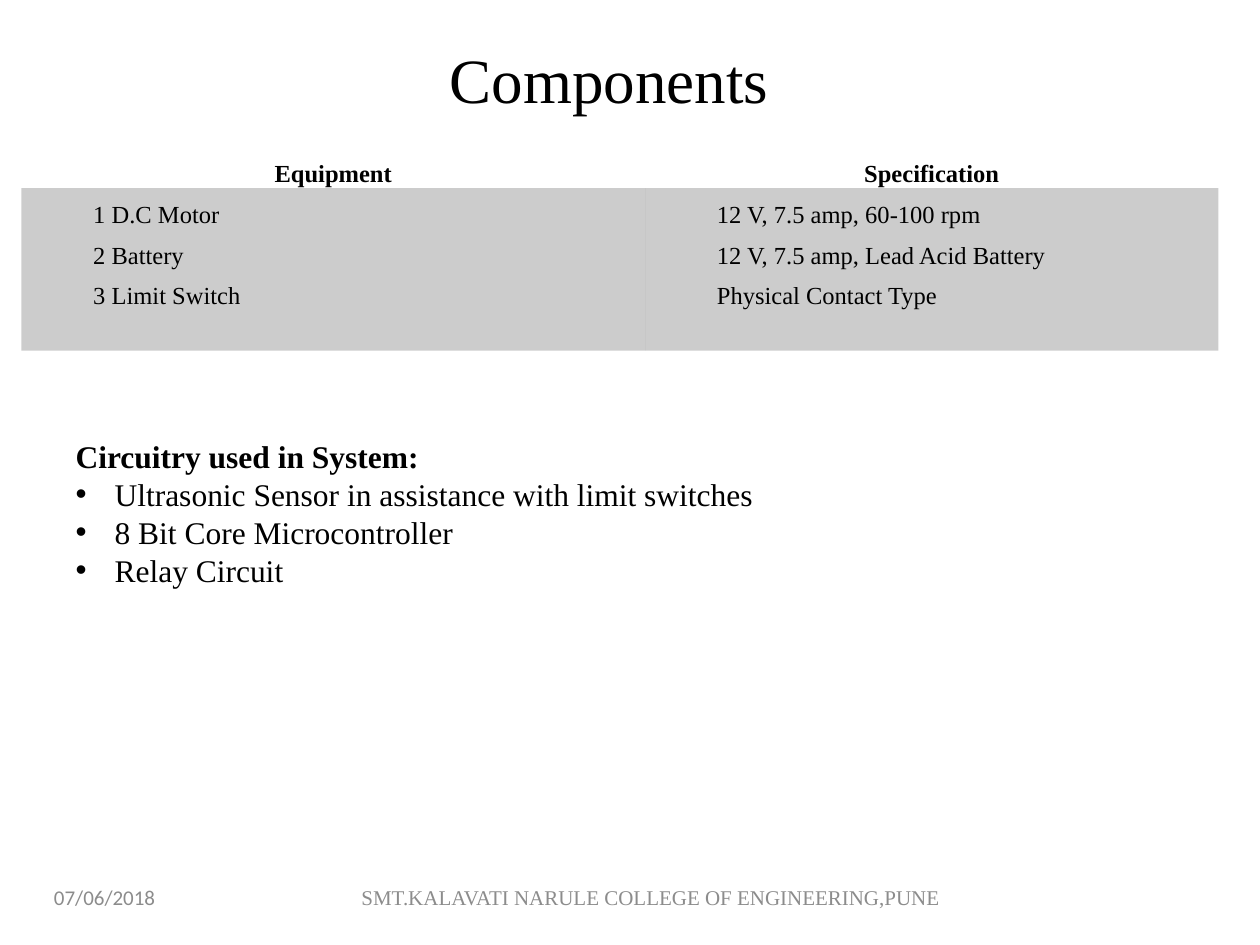
from pptx import Presentation
from pptx import util as u
from pptx.dml.color import RGBColor
from pptx.enum import text
from pptx.oxml.ns import qn
from lxml import etree

SERIF = "Times New Roman"
BLACK, GREY = "000000", "8C8C8C"
CENTER, JUSTIFY, LEFT = text.PP_ALIGN.CENTER, text.PP_ALIGN.JUSTIFY, text.PP_ALIGN.LEFT
NO_GRID_STYLE = "{2D5ABB26-0587-4C30-8999-92F81FD0307C}"

COMPONENTS = [
    ("Equipment", ["1 D.C Motor", "2 Battery ", "3 Limit Switch"]),
    ("Specification", ["12 V, 7.5 amp, 60-100 rpm",
                       "12 V, 7.5 amp, Lead Acid Battery",
                       "Physical Contact Type"]),
]
CIRCUITRY = ["Ultrasonic Sensor in assistance with limit switches",
             "8 Bit Core Microcontroller", "Relay Circuit"]


def color(value):
    return RGBColor.from_string(value)


def set_values(target, values):
    for name, value in values.items():
        setattr(target, name, value)


def place(shape, left, top, width, height):
    set_values(shape, {"left": u.Inches(left), "top": u.Inches(top),
                       "width": u.Inches(width), "height": u.Inches(height)})


def write(frame, lines, size, align=LEFT, font=SERIF, hue=BLACK, bold=False, **spacing):
    """Fill the frame with one paragraph per line and return the paragraphs."""
    frame.text = "\n".join(lines)
    for para in frame.paragraphs:
        set_values(para, {"alignment": align, **spacing})
        for span in para.runs:
            set_values(span.font, {"name": font, "size": u.Pt(size), "bold": bold})
            span.font.color.rgb = color(hue)
    return frame.paragraphs


def set_indent(para, left, first=0, bullet=None):
    props = para._p.get_or_add_pPr()
    props.set("marL", str(u.Inches(left)))
    props.set("indent", str(u.Inches(first)))
    if bullet:
        etree.SubElement(props, qn("a:buFont"), typeface="Arial")
        etree.SubElement(props, qn("a:buChar"), char=bullet)
    else:
        etree.SubElement(props, qn("a:buNone"))


def shade(cell, hue, opacity):
    cell.fill.solid()
    cell.fill.fore_color.rgb = color(hue)
    tint = cell._tc.tcPr.find(".//" + qn("a:srgbClr"))
    etree.SubElement(tint, qn("a:alpha"), val=str(opacity * 1000))


def add_components_table(page):
    frame = page.shapes.add_table(2, 2, u.Inches(0.17), u.Inches(1.17),
                                  u.Inches(9.5), u.Inches(1.61))
    table = frame.table
    table._tbl.tblPr.find(qn("a:tableStyleId")).text = NO_GRID_STYLE
    for row, height in zip(table.rows, (0.32, 1.29)):
        row.height = u.Inches(height)
    for column, width in zip(table.columns, (4.95, 4.55)):
        column.width = u.Inches(width)
    for index, (heading, entries) in enumerate(COMPONENTS):
        header, body = table.cell(0, index), table.cell(1, index)
        for cell in (header, body):
            set_values(cell, {"margin_left": u.Inches(0.07), "margin_right": u.Inches(0.07),
                              "margin_top": 0, "margin_bottom": 0})
        header.fill.background()
        shade(body, BLACK, 20)
        write(header.text_frame, [heading], 14, CENTER, bold=True,
              line_spacing=1.5, space_before=u.Pt(4))
        for para in write(body.text_frame, entries, 14, JUSTIFY, line_spacing=1.5):
            set_indent(para, 0.5)


def format_placeholder(shape, *bounds):
    place(shape, *bounds)
    set_values(shape.text_frame, {"vertical_anchor": text.MSO_ANCHOR.TOP,
                                  "auto_size": text.MSO_AUTO_SIZE.NONE})
    return shape.text_frame


def add_footer(page, left, width, label, **style):
    box = page.shapes.add_textbox(u.Inches(left), u.Inches(6.92),
                                  u.Inches(width), u.Inches(0.4))
    set_values(box.text_frame, {"word_wrap": True,
                                "vertical_anchor": text.MSO_ANCHOR.MIDDLE})
    write(box.text_frame, [label], 12, hue=GREY, **style)


def main():
    deck = Presentation()
    deck.slide_width, deck.slide_height = u.Inches(10), u.Inches(7.5)
    page = deck.slides.add_slide(deck.slide_layouts[1])

    add_components_table(page)
    title = format_placeholder(page.shapes.title, -1.75, 0.27, 13.17, 0.71)
    write(title, ["Components"], 36, CENTER)

    body = format_placeholder(page.placeholders[1], 0.5, 3.42, 8.67, 1.31)
    heading, *items = write(body, ["Circuitry used in System:", *CIRCUITRY], 18,
                            space_before=u.Pt(0))
    heading.runs[0].font.bold = True
    set_indent(heading, 0)
    for item in items:
        set_indent(item, 0.31, -0.31, "•")

    add_footer(page, 0.33, 2.33, "07/06/2018", font="Calibri")
    add_footer(page, 2, 6.33, "SMT.KALAVATI NARULE COLLEGE OF ENGINEERING,PUNE", align=CENTER)
    deck.save("out.pptx")


if __name__ == "__main__":
    main()
